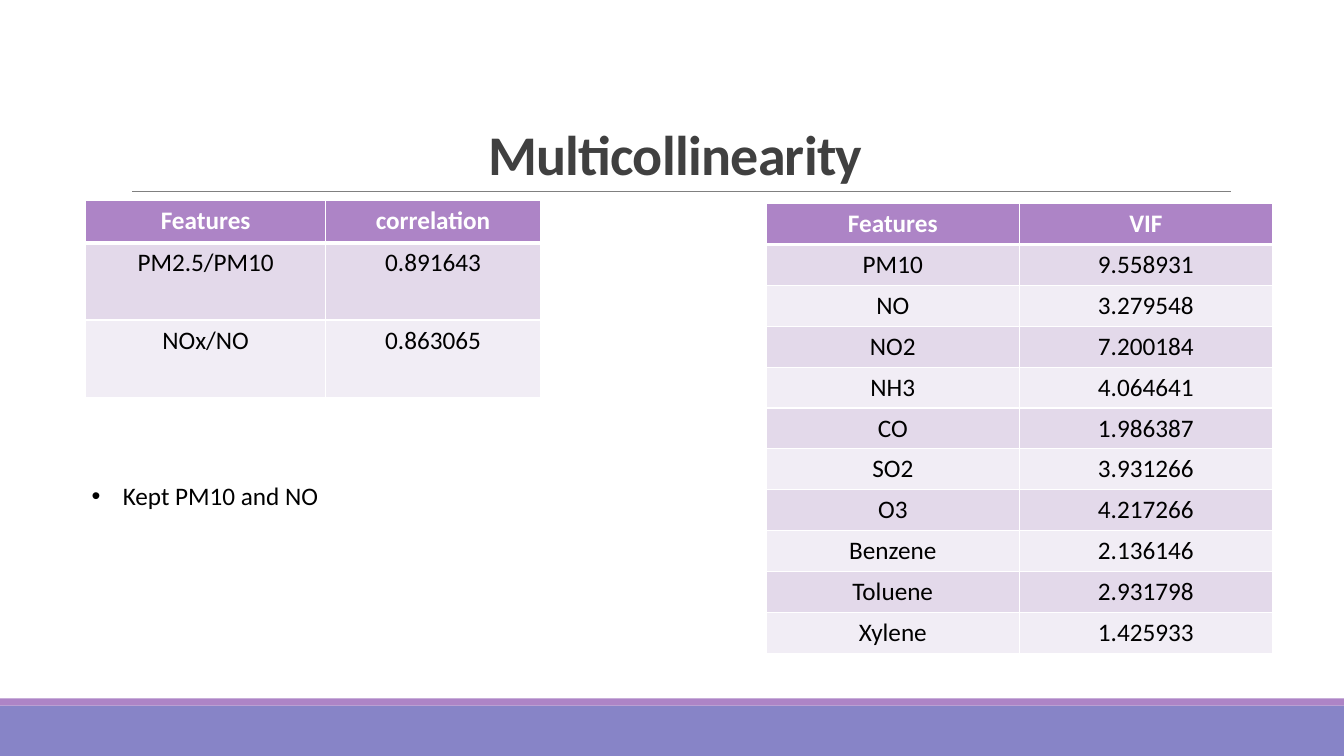
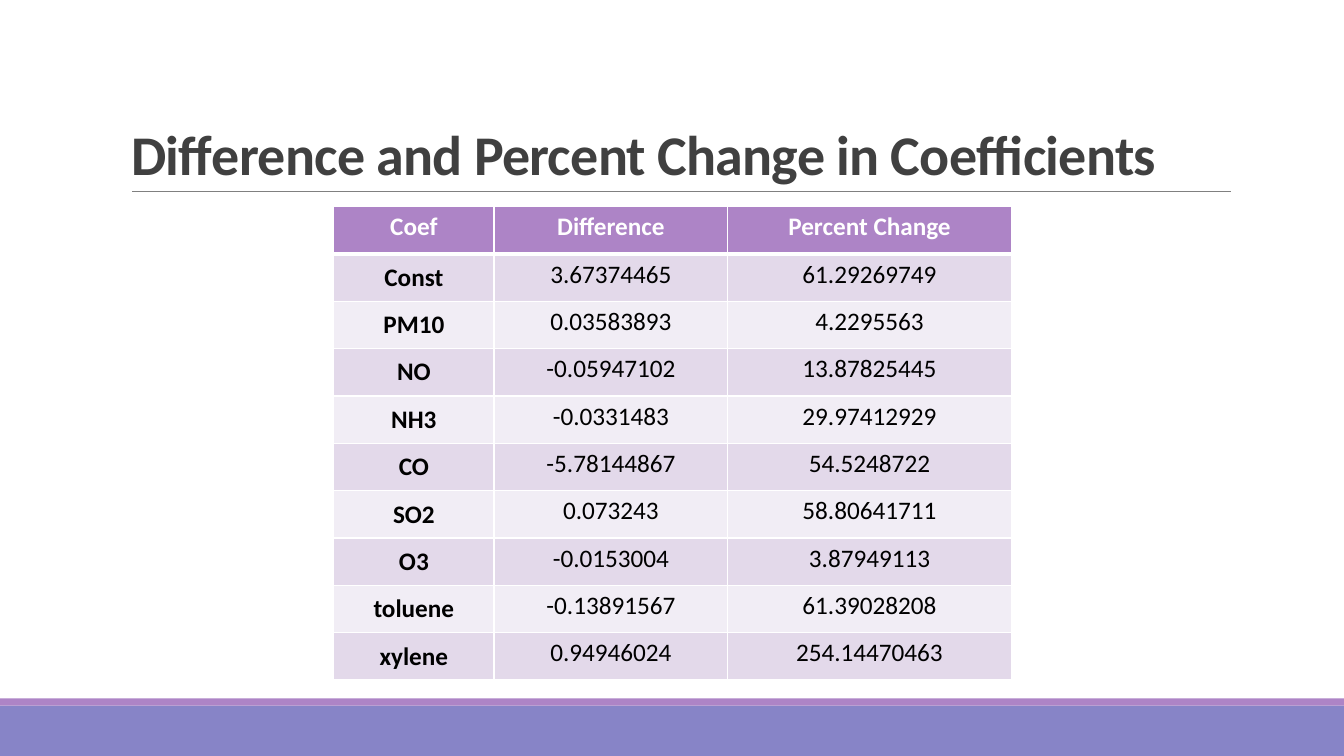
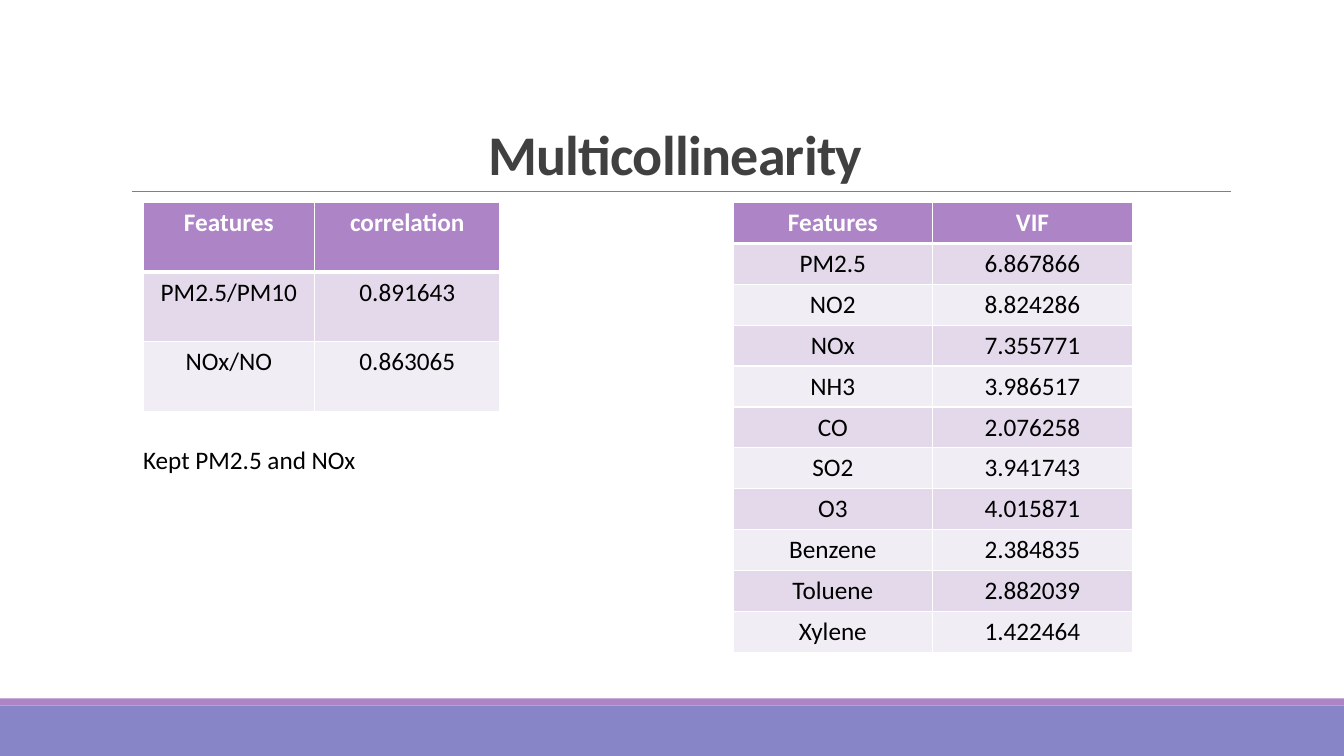
from pptx import Presentation
from pptx.dml.color import RGBColor
from pptx.enum.shapes import MSO_CONNECTOR, MSO_SHAPE
from pptx.enum.text import MSO_ANCHOR, MSO_AUTO_SIZE, PP_ALIGN
from pptx.oxml.ns import qn
from pptx.util import Inches, Pt
from lxml.etree import SubElement

WHITE = RGBColor(0xFF, 0xFF, 0xFF)
BLACK = RGBColor(0x00, 0x00, 0x00)
CHARCOAL = RGBColor(0x40, 0x40, 0x40)
GRAY = RGBColor(0x80, 0x80, 0x80)
BLUE_VIOLET = RGBColor(0x87, 0x84, 0xC7)
PURPLE = RGBColor(0xAD, 0x84, 0xC6)
ROW_FILLS = (RGBColor(0xE3, 0xD9, 0xEA), RGBColor(0xF1, 0xED, 0xF5))

FONT = "Calibri"
TITLE_ONLY = 5
THIN, THICK = 1, 3

CORRELATIONS = [
    ("Features", "correlation"),
    ("PM2.5/PM10", "0.891643"),
    ("NOx/NO", "0.863065"),
]
VIF_WITH_PM10 = [
    ("Features", "VIF"),
    ("PM10", "9.558931"),
    ("NO", "3.279548"),
    ("NO2", "7.200184"),
    ("NH3", "4.064641"),
    ("CO", "1.986387"),
    ("SO2", "3.931266"),
    ("O3", "4.217266"),
    ("Benzene", "2.136146"),
    ("Toluene", "2.931798"),
    ("Xylene", "1.425933"),
]
COEFFICIENTS = [
    ("Coef", "Difference", "Percent Change"),
    ("Const", "3.67374465", "61.29269749"),
    ("PM10", "0.03583893", "4.2295563"),
    ("NO", "-0.05947102", "13.87825445"),
    ("NH3", "-0.0331483", "29.97412929"),
    ("CO", "-5.78144867", "54.5248722"),
    ("SO2", "0.073243", "58.80641711"),
    ("O3", "-0.0153004", "3.87949113"),
    ("toluene", "-0.13891567", "61.39028208"),
    ("xylene", "0.94946024", "254.14470463"),
]
VIF_WITH_PM25 = [
    ("Features", "VIF"),
    ("PM2.5", "6.867866"),
    ("NO2", "8.824286"),
    ("NOx", "7.355771"),
    ("NH3", "3.986517"),
    ("CO", "2.076258"),
    ("SO2", "3.941743"),
    ("O3", "4.015871"),
    ("Benzene", "2.384835"),
    ("Toluene", "2.882039"),
    ("Xylene", "1.422464"),
]


class Deck:
    """Holds the shared style and the page being built."""

    def __init__(self):
        self.presentation = Presentation()
        self.presentation.slide_width = Inches(13.33)
        self.presentation.slide_height = Inches(7.5)
        self.page = None

    def add_page(self, title, align=PP_ALIGN.CENTER):
        layout = self.presentation.slide_layouts[TITLE_ONLY]
        self.page = self.presentation.slides.add_slide(layout)
        self.band(7, 0.5, BLUE_VIOLET)
        self.band(6.93, 0.07, PURPLE)
        self.rule()
        self.title(title, align)

    def band(self, top, height, color):
        band = self.page.shapes.add_shape(
            MSO_SHAPE.RECTANGLE, 0, Inches(top), self.presentation.slide_width, Inches(height))
        band.shadow.inherit = False
        band.fill.solid()
        band.fill.fore_color.rgb = color
        band.line.fill.background()

    def rule(self):
        rule = self.page.shapes.add_connector(
            MSO_CONNECTOR.STRAIGHT, Inches(1.31), Inches(1.9), Inches(12.21), Inches(1.9))
        rule.line.color.rgb = GRAY
        rule.line.width = Pt(0.5)
        SubElement(rule.element.spPr, qn("a:effectLst"))

    def title(self, text, align):
        title = self.page.shapes.title
        title.left, title.top = Inches(1.2), Inches(0.31)
        title.width, title.height = Inches(11), Inches(1.59)
        frame = title.text_frame
        frame.auto_size = MSO_AUTO_SIZE.NONE
        frame.vertical_anchor = MSO_ANCHOR.BOTTOM
        para = frame.paragraphs[0]
        para.alignment = align
        para.line_spacing = 0.85
        span = self.span(para, text, 40, CHARCOAL, bold=True)
        span.font._element.set("spc", "-50")

    def span(self, para, text, size=18, color=BLACK, bold=False):
        span = para.add_run()
        span.text = text
        span.font.name = FONT
        span.font.size = Pt(size)
        span.font.bold = bold
        span.font.color.rgb = color
        return span

    def note(self, text, left, top, width, bullet=False):
        box = self.page.shapes.add_textbox(
            Inches(left), Inches(top), Inches(width), Inches(0.4))
        frame = box.text_frame
        frame.word_wrap = True
        frame.auto_size = MSO_AUTO_SIZE.SHAPE_TO_FIT_TEXT
        para = frame.paragraphs[0]
        if bullet:
            properties = para._p.get_or_add_pPr()
            properties.set("marL", str(Inches(0.31)))
            properties.set("indent", str(-Inches(0.31)))
            SubElement(properties, qn("a:buFont"), typeface="Arial")
            SubElement(properties, qn("a:buChar"), char="•")
        self.span(para, text)

    def table(self, rows, left, top, widths, height, header_height=None,
              anchor=MSO_ANCHOR.TOP, label_column=False):
        """Add a banded table; label_column makes its first column bold and centred."""
        header_height = header_height or height / len(rows)
        row_height = (height - header_height) / (len(rows) - 1)
        table = self.page.shapes.add_table(
            len(rows), len(widths), Inches(left), Inches(top),
            Inches(sum(widths)), Inches(height)).table
        for column, width in zip(table.columns, widths):
            column.width = Inches(width)
        for r, values in enumerate(rows):
            header = r == 0
            table.rows[r].height = Inches(header_height if header else row_height)
            for c, text in enumerate(values):
                label = label_column and c == 0 and not header
                cell = table.cell(r, c)
                self.borders(cell, top=THICK if r == 1 else THIN,
                             bottom=THICK if header else THIN)
                cell.fill.solid()
                cell.fill.fore_color.rgb = PURPLE if header else ROW_FILLS[(r - 1) % 2]
                cell.vertical_anchor = MSO_ANCHOR.MIDDLE if label else anchor
                para = cell.text_frame.paragraphs[0]
                para.alignment = PP_ALIGN.CENTER
                self.span(para, text, color=WHITE if header else BLACK, bold=header or label)

    def borders(self, cell, top, bottom):
        properties = cell._tc.get_or_add_tcPr()
        for side, width in (("L", THIN), ("R", THIN), ("T", top), ("B", bottom)):
            line = SubElement(properties, qn(f"a:ln{side}"), w=str(Pt(width)))
            fill = SubElement(line, qn("a:solidFill"))
            SubElement(fill, qn("a:srgbClr"), val=str(WHITE))


def main():
    deck = Deck()

    deck.add_page("Multicollinearity")
    deck.table(CORRELATIONS, 0.85, 1.99, (2.38, 2.13), 1.95, header_height=0.42)
    deck.table(VIF_WITH_PM10, 7.6, 2.02, (2.51, 2.51), 4.46, anchor=MSO_ANCHOR.MIDDLE)
    deck.note("Kept PM10 and NO", 0.81, 4.72, 4.84, bullet=True)

    deck.add_page("Difference and Percent Change in Coefficients", PP_ALIGN.LEFT)
    deck.table(COEFFICIENTS, 3.31, 2.05, (1.59, 2.32, 2.81), 4.7, label_column=True)

    deck.add_page("Multicollinearity")
    deck.table(CORRELATIONS, 1.42, 2.01, (1.7, 1.84), 2.07)
    deck.table(VIF_WITH_PM25, 7.27, 2.01, (1.98, 1.98), 4.46, anchor=MSO_ANCHOR.MIDDLE)
    deck.note("Kept PM2.5 and NOx", 1.32, 4.36, 3.95)

    deck.presentation.save("out.pptx")


if __name__ == "__main__":
    main()
